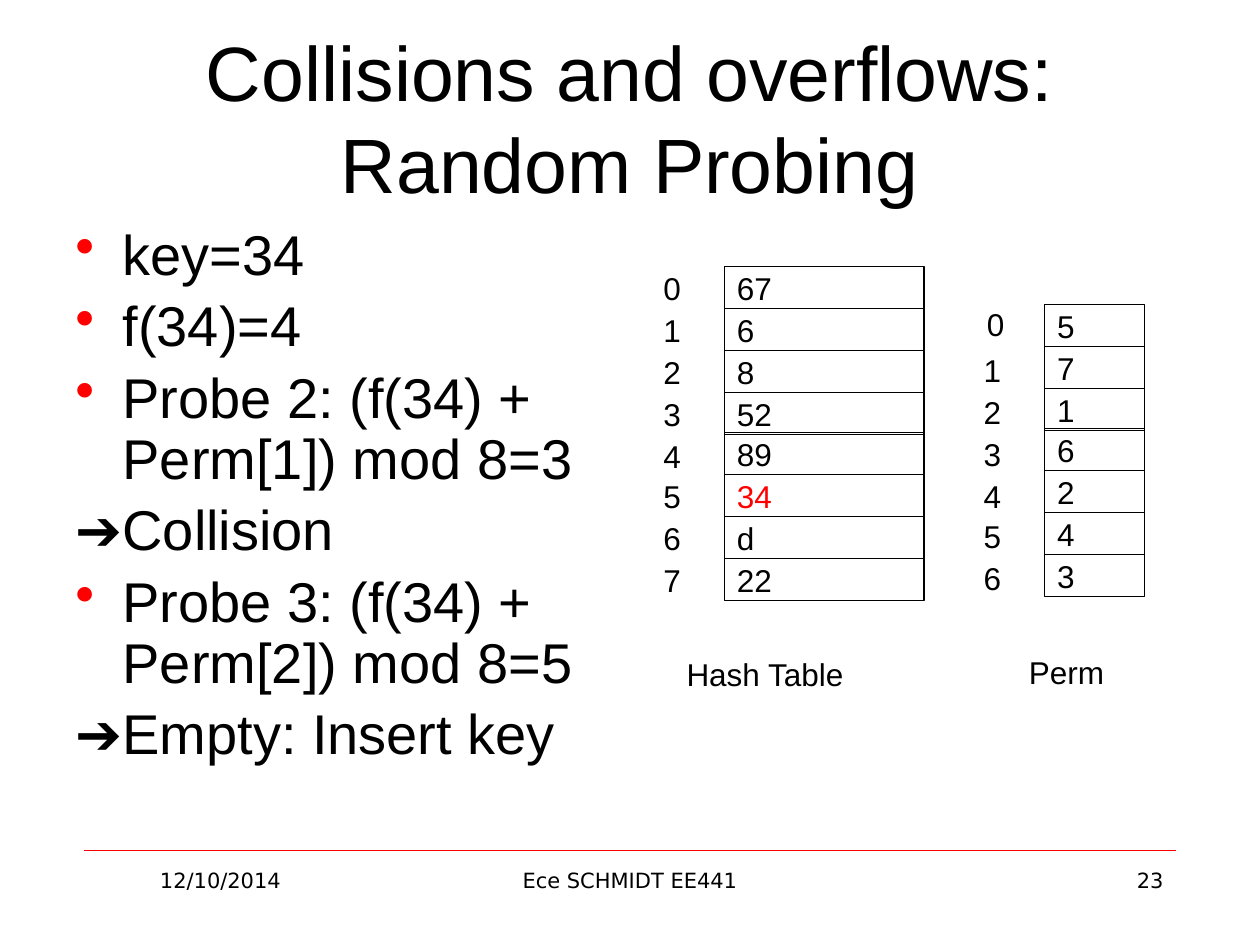
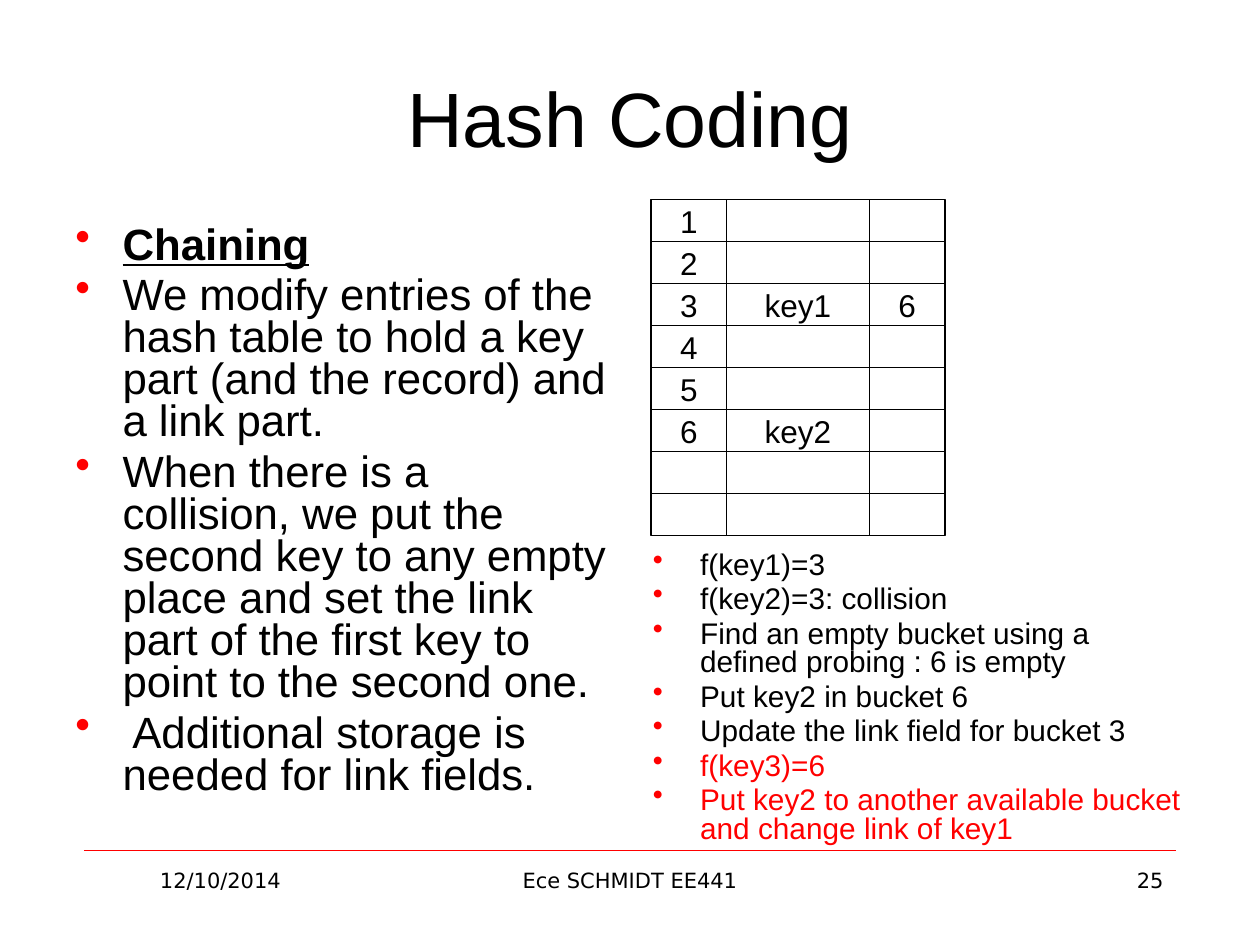
from dataclasses import dataclass

from lxml import etree
from pptx import Presentation
from pptx.dml.color import RGBColor
from pptx.enum.shapes import MSO_CONNECTOR, MSO_SHAPE
from pptx.enum.text import MSO_ANCHOR, PP_ALIGN
from pptx.oxml.ns import qn
from pptx.util import Pt

LEFT, CENTER, RIGHT = PP_ALIGN.LEFT, PP_ALIGN.CENTER, PP_ALIGN.RIGHT
TOP, MIDDLE = MSO_ANCHOR.TOP, MSO_ANCHOR.MIDDLE
RECTANGLE = MSO_SHAPE.RECTANGLE
STRAIGHT = MSO_CONNECTOR.STRAIGHT
PX = 7620


@dataclass(frozen=True)
class Theme:
    ink: str = "000000"
    accent: str = "FF0000"
    font: str = "Arial"
    footer_font: str = "DejaVu Sans"
    title: int = 44
    probing: int = 32
    chaining: int = 25
    steps: int = 17
    cell: int = 18
    footer: int = 12
    border: float = 0.75
    rule: float = 0.25
    indent: int = 45


THEME = Theme()

PLAIN, ARROW, HEADING, ALERT = "plain", "arrow", "heading", "alert"

DATE, COURSE = "12/10/2014", "Ece SCHMIDT EE441"
FOOTER_TOP, FOOTER_HEIGHT = 820, 62
RULE_LEFT, RULE_RIGHT, RULE_TOP = 80, 1120, 810
TITLE_BOX = (60, 36, 1080, 150)

PROBING = {
    "title": "Collisions and overflows: Random Probing",
    "number": "23",
    "lists": [((60, 210, 505, 594), THEME.probing, 0.9, [
        ("key=34", PLAIN),
        ("f(34)=4", PLAIN),
        ("Probe 2: (f(34) + Perm[1]) mod 8=3", PLAIN),
        ("➔Collision", ARROW),
        ("Probe 3: (f(34) + Perm[2]) mod 8=5", PLAIN),
        ("➔Empty: Insert key", ARROW),
    ])],
}
CHAINING = {
    "title": "Hash Coding",
    "number": "25",
    "lists": [
        ((60, 210, 530, 594), THEME.chaining, 0.8, [
            ("Chaining", HEADING),
            ("We modify entries of the hash table to hold a key part "
             "(and the record) and a link part.", PLAIN),
            ("When there is a collision, we put the second key to any empty "
             "place and set the link part of the first key to point to the "
             "second one.", PLAIN),
            (" Additional storage is needed for link fields.", PLAIN),
        ]),
        ((610, 520, 530, 284), THEME.steps, 0.8, [
            ("f(key1)=3", PLAIN),
            ("f(key2)=3: collision", PLAIN),
            ("Find an empty bucket using a defined probing : 6 is empty", PLAIN),
            ("Put key2 in bucket 6", PLAIN),
            ("Update the link field for bucket 3", PLAIN),
            ("f(key3)=6", ALERT),
            ("Put key2 to another available bucket and change link of key1", ALERT),
        ]),
    ],
}

ROW, SLIP = 40, 2
INSERTED_KEY = "34"
INDEX_COLUMNS = [
    (620, 254, 60, 5, "0 1 2 3 4 5 6 7".split()),
    (928, 288, 60, 1, ["0"]),
    (925, 332, 60, 4, "1 2 3 4 5 6".split()),
]
BUCKET_COLUMNS = [
    (690, 254, 190, 4, ["67", "6", "8", "52", "89", INSERTED_KEY, "d", "22"]),
    (995, 290, 95, 3, "5 7 1 6 2 4 3".split()),
]
CAPTIONS = [("Hash Table", (642, 612, 287, 60)), ("Perm", (968, 610, 191, 60))]

CHAIN_LEFT, CHAIN_TOP = 620, 190
CHAIN_WIDTHS = (72, 136, 72)
CHAIN_ROWS = [
    ("1", "", ""),
    ("2", "", ""),
    ("3", "key1", "6"),
    ("4", "", ""),
    ("5", "", ""),
    ("6", "key2", ""),
    ("", "", ""),
    ("", "", ""),
]


def emu(box):
    return [px * PX for px in box]


def style(paragraph, size, color=THEME.ink, font=THEME.font, align=LEFT):
    paragraph.alignment = align
    for run in paragraph.runs:
        run.font.size = Pt(size)
        run.font.name = font
        run.font.color.rgb = RGBColor.from_string(color)


def write(shape, text, size, anchor=MIDDLE, **look):
    frame = shape.text_frame
    frame.word_wrap = True
    frame.vertical_anchor = anchor
    frame.text = text
    style(frame.paragraphs[0], size, **look)


def add_label(slide, box, text, size=THEME.cell, **look):
    write(slide.shapes.add_textbox(*emu(box)), text, size, **look)


def add_cell(slide, box, text, **look):
    cell = slide.shapes.add_shape(RECTANGLE, *emu(box))
    cell.shadow.inherit = False
    cell.fill.background()
    cell.line.color.rgb = RGBColor.from_string(THEME.ink)
    cell.line.width = Pt(THEME.border)
    if text:
        write(cell, text, THEME.cell, **look)


def add_bullet(paragraph):
    properties = paragraph._p.get_or_add_pPr()
    properties.set("marL", str(THEME.indent * PX))
    properties.set("indent", str(-THEME.indent * PX))
    color = etree.SubElement(properties, qn("a:buClr"))
    etree.SubElement(color, qn("a:srgbClr"), val=THEME.accent)
    etree.SubElement(properties, qn("a:buChar"), char="•")


def add_list(slide, box, size, spacing, items):
    frame = slide.shapes.add_textbox(*emu(box)).text_frame
    frame.word_wrap = True
    for index, (text, kind) in enumerate(items):
        paragraph = frame.add_paragraph() if index else frame.paragraphs[0]
        paragraph.text = text
        style(paragraph, size, THEME.accent if kind == ALERT else THEME.ink)
        paragraph.line_spacing = spacing
        paragraph.space_before = Pt(size * 0.2)
        if kind != ARROW:
            add_bullet(paragraph)
        if kind == HEADING:
            paragraph.runs[0].font.bold = True
            paragraph.runs[0].font.underline = True


def add_footer(slide, number):
    rule = slide.shapes.add_connector(
        STRAIGHT, *emu((RULE_LEFT, RULE_TOP, RULE_RIGHT, RULE_TOP)))
    rule.line.color.rgb = RGBColor.from_string(THEME.accent)
    rule.line.width = Pt(THEME.rule)
    etree.SubElement(rule._element.spPr, qn("a:effectLst"))
    for text, left, width, align in [
        (DATE, 80, 260, CENTER), (COURSE, 410, 380, CENTER), (number, 860, 260, RIGHT),
    ]:
        add_label(slide, (left, FOOTER_TOP, width, FOOTER_HEIGHT), text, THEME.footer,
                  anchor=TOP, font=THEME.footer_font, align=align)


def start_slide(deck, content):
    slide = deck.slides.add_slide(deck.slide_layouts[6])
    add_footer(slide, content["number"])
    add_label(slide, TITLE_BOX, content["title"], THEME.title, align=CENTER)
    for bullet_list in content["lists"]:
        add_list(slide, *bullet_list)
    return slide


def stack(left, top, width, slip_row, values):
    for row, value in enumerate(values):
        slip = SLIP if row >= slip_row else 0
        yield (left, top + row * ROW - slip, width, ROW), value


def add_probing_slide(deck):
    slide = start_slide(deck, PROBING)
    for column in INDEX_COLUMNS:
        for box, index in stack(*column):
            add_label(slide, box, index)
    for column in BUCKET_COLUMNS:
        for box, key in stack(*column):
            add_cell(slide, box, key,
                     color=THEME.accent if key == INSERTED_KEY else THEME.ink)
    for caption, box in CAPTIONS:
        add_label(slide, box, caption)


def add_chaining_slide(deck):
    slide = start_slide(deck, CHAINING)
    for row, fields in enumerate(CHAIN_ROWS):
        left = CHAIN_LEFT
        for field, width in zip(fields, CHAIN_WIDTHS):
            add_cell(slide, (left, CHAIN_TOP + row * ROW, width, ROW), field, align=CENTER)
            left += width


def main():
    deck = Presentation()
    deck.slide_width, deck.slide_height = emu((1200, 900))
    add_probing_slide(deck)
    add_chaining_slide(deck)
    deck.save("out.pptx")


if __name__ == "__main__":
    main()
